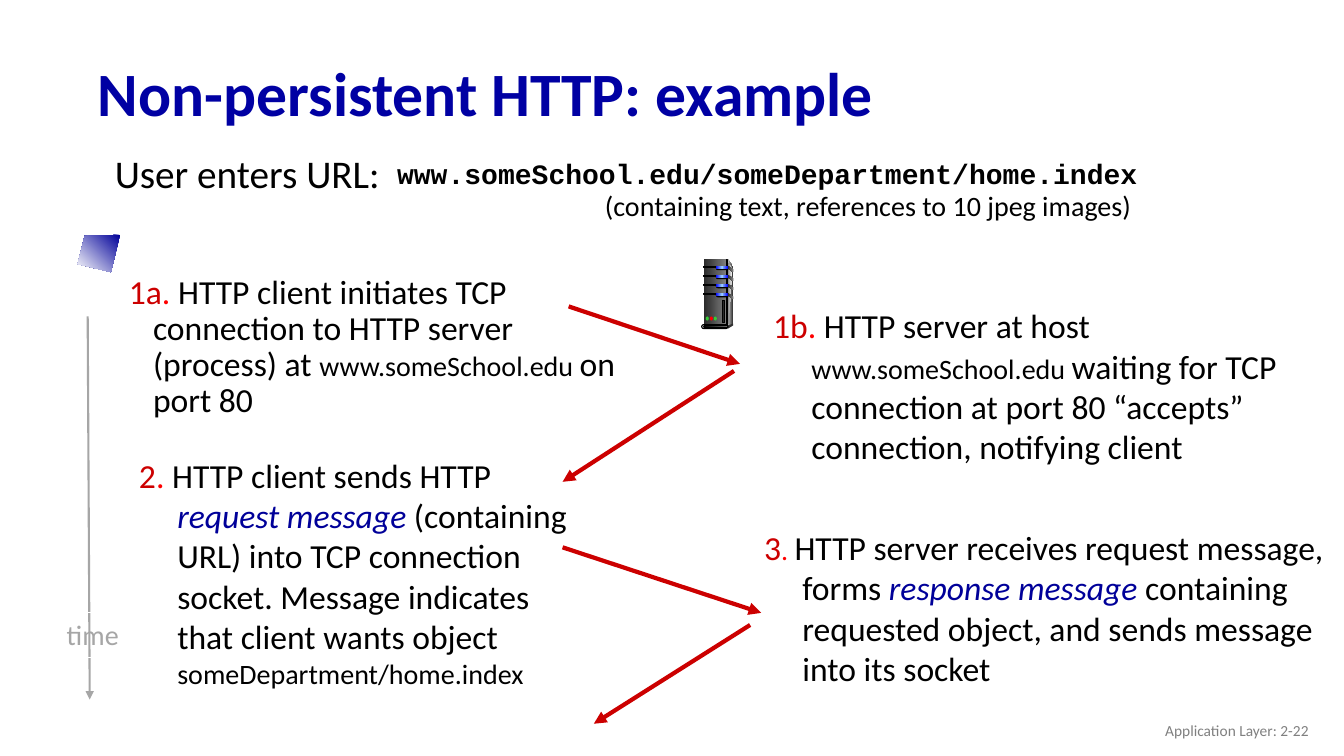
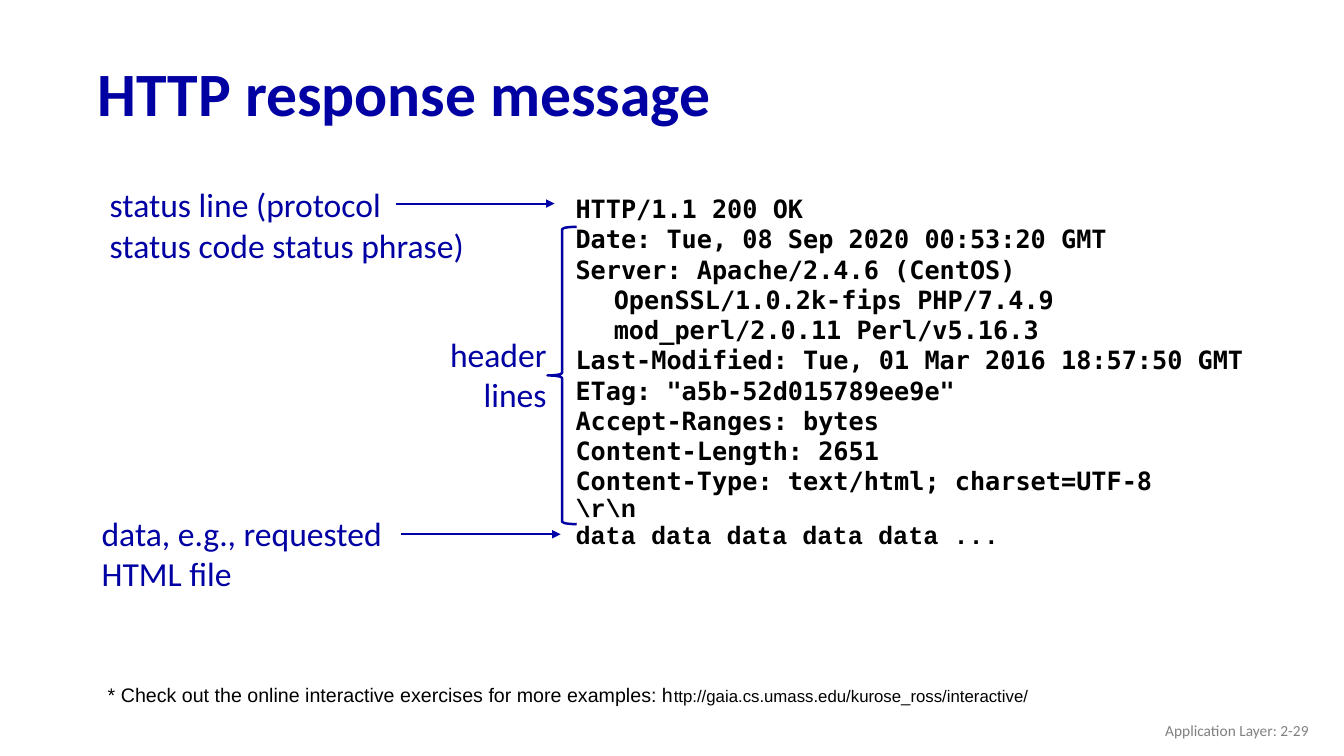
from copy import deepcopy

from pptx import Presentation
from pptx.dml.color import RGBColor
from pptx.enum.shapes import MSO_CONNECTOR as Connector, MSO_SHAPE as Preset
from pptx.enum.text import MSO_ANCHOR as Anchor, PP_ALIGN as Align
from pptx.oxml.ns import qn
from pptx.util import Pt

PX = 9144  # EMU per px, 100 px to the inch
TITLE_BLUE = RGBColor(0x00, 0x00, 0xA3)
ARROW_BLUE = RGBColor(0x00, 0x00, 0xA8)
TERM_BLUE = RGBColor(0x00, 0x00, 0x99)
STEP_RED = RGBColor(0xCC, 0x00, 0x00)
DOT_RED = RGBColor(0xFF, 0x00, 0x00)
BLACK = RGBColor(0x00, 0x00, 0x00)
WHITE = RGBColor(0xFF, 0xFF, 0xFF)
TIME_GRAY = RGBColor(0xA6, 0xA6, 0xA6)
FOOTER_GRAY = RGBColor(0x80, 0x80, 0x80)
COAL = RGBColor(0x29, 0x29, 0x29)
DARK = RGBColor(0x33, 0x33, 0x33)
LIGHT = RGBColor(0xDD, 0xDD, 0xDD)
PALE = RGBColor(0xF8, 0xF8, 0xF8)
LED_BLUE = RGBColor(0x00, 0x00, 0xFF)
LED_SHINE = RGBColor(0x99, 0xCC, 0xFF)
LED_GREEN = RGBColor(0x33, 0xCC, 0x33)

BODY_FONT = "Calibri"
CODE_FONT = "DejaVu Sans Mono"
URL_FONT = "Courier New"
NOTE_FONT = "Arial"


class Deck:
    """Holds the shared style and the slide being filled."""

    def __init__(self):
        self.presentation = Presentation()
        self.presentation.slide_width = 1333 * PX
        self.presentation.slide_height = 750 * PX
        self.slide = None

    def new_slide(self, title, number):
        layout = self.presentation.slide_layouts[5]
        self.slide = self.presentation.slides.add_slide(layout)
        shape = self.slide.shapes.title
        shape.left, shape.top, shape.width, shape.height = self.emu(87, 47, 1150, 98)
        frame = shape.text_frame
        frame.text = title
        frame.vertical_anchor = Anchor.MIDDLE
        paragraph = frame.paragraphs[0]
        paragraph.alignment = Align.LEFT
        paragraph.line_spacing = 0.9
        self.set_font(paragraph.font, size=44, color=TITLE_BLUE, font=BODY_FONT, bold=True)
        self.text((1008, 705, 300, 40), [f"Application Layer: {number}"], size=11,
                  color=FOOTER_GRAY, align=Align.RIGHT, anchor=Anchor.MIDDLE)

    @staticmethod
    def emu(*lengths):
        return [length * PX for length in lengths]

    @staticmethod
    def set_font(target, size=None, color=None, font=None, bold=None, italic=None):
        if size:
            target.size = Pt(size)
        if color is not None:
            target.color.rgb = color
        if font:
            target.name = font
        if bold is not None:
            target.bold = bold
        if italic is not None:
            target.italic = italic

    def text(self, box, paragraphs, size=24, color=BLACK, font=BODY_FONT, bold=None,
             align=Align.LEFT, anchor=Anchor.TOP, spacing=None, margin=0, indent=0,
             wrap=True):
        """A paragraph is a string or a list of (text, font changes) runs."""
        shape = self.slide.shapes.add_textbox(*self.emu(*box))
        frame = shape.text_frame
        frame.word_wrap = wrap
        frame.vertical_anchor = anchor
        for index, content in enumerate(paragraphs):
            paragraph = frame.add_paragraph() if index else frame.paragraphs[0]
            runs = [(content, {})] if isinstance(content, str) else content
            for words, changes in runs:
                run = paragraph.add_run()
                run.text = words
                self.set_font(run.font, **changes)
            paragraph.alignment = align
            if spacing:
                paragraph.line_spacing = spacing
            if margin:
                properties = paragraph._p.get_or_add_pPr()
                properties.set("marL", str(margin * PX))
                properties.set("indent", str(indent * PX))
            self.set_font(paragraph.font, size, color, font, bold)
        return shape

    def arrow(self, x1, y1, x2, y2, color, width):
        connector = self.slide.shapes.add_connector(
            Connector.STRAIGHT, *self.emu(x1, y1, x2, y2))
        connector.line.color.rgb = color
        connector.line.width = Pt(width)
        line = connector.line._get_or_add_ln()
        line.makeelement(qn("a:tailEnd"))
        tail = line.makeelement(qn("a:tailEnd"), {"type": "triangle"})
        line.append(tail)
        properties = connector._element.spPr
        properties.append(properties.makeelement(qn("a:effectLst")))

    def paint(self, shape, colors, line=None, width=0.75, angle=0):
        """No colour leaves the shape open, one fills it, more make a gradient."""
        shape.shadow.inherit = False
        if not colors:
            shape.fill.background()
        elif len(colors) == 1:
            shape.fill.solid()
            shape.fill.fore_color.rgb = colors[0]
        else:
            shape.fill.gradient()
            shape.fill.gradient_angle = angle
            stops = shape._element.spPr.find(".//" + qn("a:gsLst"))
            while len(stops) < len(colors):
                stops.append(deepcopy(stops[0]))
            for index, stop in enumerate(shape.fill.gradient_stops):
                stop.color.rgb = colors[index]
                stop.position = index / (len(colors) - 1)
        if line is None:
            shape.line.fill.background()
        else:
            shape.line.color.rgb = line
            shape.line.width = Pt(width)

    def preset(self, kind, box, *colors, parent=None, **style):
        shapes = (parent or self.slide).shapes
        shape = shapes.add_shape(kind, *self.emu(*box))
        if kind == Preset.ROUNDED_RECTANGLE:
            shape.adjustments[0] = 0.5
        self.paint(shape, colors, **style)

    def polygon(self, points, *colors, parent=None, **style):
        shapes = (parent or self.slide).shapes
        builder = shapes.build_freeform(*points[0], scale=PX)
        builder.add_line_segments(points[1:], close=True)
        self.paint(builder.convert_to_shape(), colors, **style)

    def server(self):
        group = self.slide.shapes.add_group_shape()
        # Cabinet
        self.polygon([(722, 257), (727, 265), (727, 321), (721, 324)],
                     LIGHT, DARK, parent=group)
        self.preset(Preset.RECTANGLE, (698, 257, 23, 67), COAL, FOOTER_GRAY, parent=group)
        self.polygon([(722, 261), (726, 266), (724, 300), (722, 322)],
                     FOOTER_GRAY, PALE, parent=group)
        self.preset(Preset.RECTANGLE, (721, 257, 1, 67), DARK, LIGHT, DARK,
                    parent=group, line=BLACK)
        # Drives with their side vents
        for top in range(264, 293, 9):
            self.preset(Preset.RECTANGLE, (698, top, 13, 1), BLACK, parent=group, line=BLACK)
            self.preset(Preset.ROUNDED_RECTANGLE, (710, top, 13, 4), BLACK, parent=group)
            self.preset(Preset.ROUNDED_RECTANGLE, (710, top, 12, 3),
                        LED_BLUE, LED_SHINE, LED_BLUE, parent=group)
            self.polygon([(722, top), (727, top + 3), (727, top + 6), (722, top + 2)],
                         COAL, FOOTER_GRAY, parent=group)
        # Foot
        self.polygon([(722, 323), (722, 326), (727, 323), (727, 321)], DARK, parent=group)
        self.preset(Preset.ROUNDED_RECTANGLE, (696, 322, 26, 4), LIGHT,
                    parent=group, line=BLACK)
        self.preset(Preset.ROUNDED_RECTANGLE, (698, 323, 24, 2), BLACK, FOOTER_GRAY,
                    parent=group, line=BLACK)
        # Lamps and slot
        for index, lamp in enumerate((LED_GREEN, DOT_RED, LED_GREEN)):
            self.preset(Preset.OVAL, (700 + 4 * index, 314, 3, 4), lamp, parent=group)
        self.preset(Preset.RECTANGLE, (717, 298, 2, 22), COAL, parent=group, line=BLACK)


def step(number, *runs, dot=".", dot_size=24):
    """One numbered paragraph: red number, red dot, then the runs."""
    return [[(number, {"color": STEP_RED}), (dot, {"color": DOT_RED, "size": dot_size}),
             *runs]]


def plain(words):
    return words, {}


def small(words):
    return words, {"size": 20}


def term(words):
    return words, {"color": TERM_BLUE, "italic": True}


def build_example(deck):
    deck.new_slide("Non-persistent HTTP: example", "2-22")

    # Requested address
    deck.text((89, 148, 869, 51), ["User enters URL:"], size=28, spacing=0.9,
              margin=39, indent=-24)
    deck.text((384, 155, 869, 51), ["www.someSchool.edu/someDepartment/home.index"],
              size=20, font=URL_FONT, bold=True, spacing=0.85, margin=38, indent=-38)
    deck.text((512, 182, 698, 44), ["(containing text, references to 10 jpeg images)"],
              size=20, align=Align.CENTER)

    # Time axis
    deck.arrow(87, 314, 89, 694, TIME_GRAY, 1.5)
    time_label = deck.text((55, 608, 74, 44), ["time"], size=20, color=TIME_GRAY,
                           align=Align.CENTER, wrap=False)
    time_label.line.color.rgb = WHITE
    time_label.line.width = Pt(0.75)

    # Numbered steps
    deck.text((103, 268, 530, 208), step(
        "1a", plain(" HTTP client initiates TCP connection to HTTP server (process) at "),
        small("www.someSchool.edu "), plain("on port 80")),
        spacing=0.9, margin=39, indent=-24)
    hanging_steps = [
        ((128, 446, 461, 250), step(
            "2", plain(" HTTP client sends HTTP "), term("request message"),
            plain(" (containing URL) into TCP connection socket. Message indicates "
                  "that client wants object "),
            small("someDepartment/home.index"))),
        ((757, 298, 576, 170), step(
            "1b", plain(" HTTP server at host "), small("www.someSchool.edu "),
            plain("waiting for TCP connection at port 80 “accepts” connection, "
                  "notifying client"))),
        ((748, 518, 585, 197), step(
            "3", plain("HTTP server receives request message, forms "),
            term("response message"),
            plain(" containing requested object, and sends message into its socket"),
            dot=". ", dot_size=20)),
    ]
    for box, paragraphs in hanging_steps:
        deck.text(box, paragraphs, margin=38, indent=-38)

    # Messages between client and server
    for ends in ((564, 304, 734, 361), (728, 368, 558, 478),
                 (558, 543, 755, 608), (744, 620, 589, 718)):
        deck.arrow(*ends, STEP_RED, 3)

    # Client screen and server
    deck.polygon([(119, 233), (84, 234), (77, 262), (110, 270)], TERM_BLUE, WHITE, angle=225)
    deck.server()


def build_response(deck):
    deck.new_slide("HTTP response message", "2-29")

    # Labels
    deck.text((99, 178, 444, 91), ["status line (protocol", "status code status phrase)"],
              color=TITLE_BLUE)
    deck.text((435, 326, 117, 91), ["header", "lines"], color=TITLE_BLUE,
              align=Align.RIGHT, wrap=False)
    deck.text((91, 504, 394, 91), ["data, e.g., requested", "HTML file"], color=TITLE_BLUE)

    # Message
    message = deck.text((561, 187, 690, 382), [
        "HTTP/1.1 200 OK",
        "Date: Tue, 08 Sep 2020 00:53:20 GMT",
        "Server: Apache/2.4.6 (CentOS) OpenSSL/1.0.2k-fips PHP/7.4.9 "
        "mod_perl/2.0.11 Perl/v5.16.3",
        "Last-Modified: Tue, 01 Mar 2016 18:57:50 GMT",
        'ETag: "a5b-52d015789ee9e"',
        "Accept-Ranges: bytes",
        "Content-Length: 2651",
        "Content-Type: text/html; charset=UTF-8",
        "\\r\\n",
        "data data data data data ...",
    ], size=18, font=CODE_FONT, bold=True, margin=38, indent=-38)
    for paragraph in message.text_frame.paragraphs[-2:]:
        paragraph.line_spacing = 0.9
        paragraph.font.name = URL_FONT

    # Pointers
    deck.arrow(393, 202, 550, 202, ARROW_BLUE, 1.5)
    deck.arrow(398, 530, 556, 530, ARROW_BLUE, 1.5)
    deck.preset(Preset.LEFT_BRACE, (543, 225, 29, 295), line=TITLE_BLUE, width=1.75)

    # Note
    deck.text((97, 673, 1041, 34), [[
        plain("* Check out the online interactive exercises for more examples: h"),
        ("ttp://gaia.cs.umass.edu/kurose_ross/interactive/", {"size": 12}),
    ]], size=14, font=NOTE_FONT)


def main():
    deck = Deck()
    build_example(deck)
    build_response(deck)
    deck.presentation.save("out.pptx")


if __name__ == "__main__":
    main()
